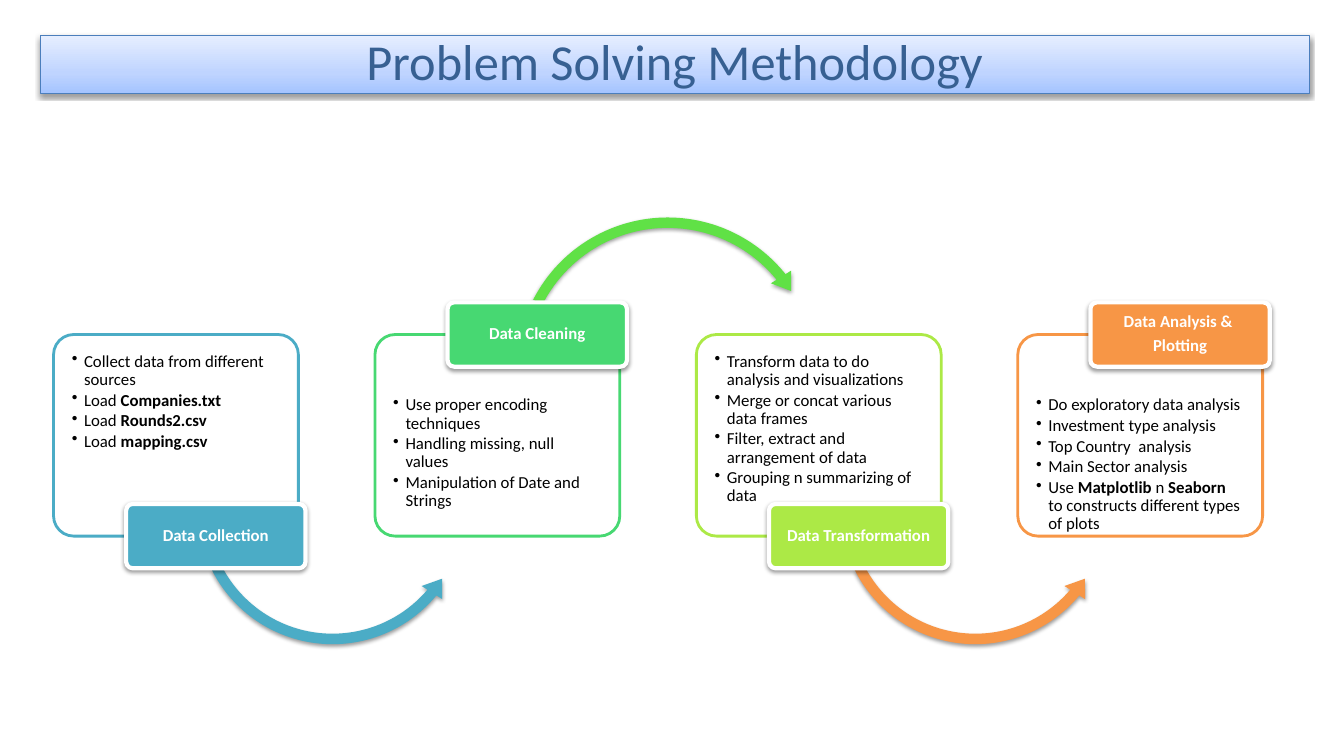
from dataclasses import dataclass

from lxml import etree
from copy import deepcopy
from pptx import Presentation
from pptx.dml.color import RGBColor
from pptx.enum.shapes import MSO_SHAPE
from pptx.enum.text import MSO_ANCHOR, PP_ALIGN
from pptx.oxml.ns import qn
from pptx.util import Cm, Pt

RECT = MSO_SHAPE.RECTANGLE
ROUND = MSO_SHAPE.ROUNDED_RECTANGLE
OVER = MSO_SHAPE.CIRCULAR_ARROW
UNDER = MSO_SHAPE.LEFT_CIRCULAR_ARROW
MID, TOP = MSO_ANCHOR.MIDDLE, MSO_ANCHOR.TOP
LEFT, CENTER = PP_ALIGN.LEFT, PP_ALIGN.CENTER


@dataclass(frozen=True)
class Theme:
    """Hold the colours and type sizes of the slide."""
    font: str = "Calibri"
    ink: str = "000000"
    paper: str = "FFFFFF"
    title: str = "376092"
    edge: str = "4B7EBC"
    fade: tuple = ((0, "A4C4FF"), (0.35, "BFD4FF"), (1, "E6EEFF"))
    teal: str = "4BACC6"
    mint: str = "47D872"
    green: str = "60E146"
    lime: str = "ACE946"
    amber: str = "F79646"
    big: int = 36
    small: int = 12


THEME = Theme()
LOW = dict(text=8.53, tag=12.7, arc=(UNDER, 3.45, 9.25, 7.16),
           bend=(0.037, 4.547, 24, 91.94, 0.043))
HIGH = dict(text=9.63, tag=7.62, arc=(OVER, 3.4, 5.31, 7.95),
            bend=(0.033, 4.062, 192.68, 124.25, 0.038))
STEPS = (
    (LOW, THEME.teal, THEME.teal, ["Data Collection"],
     ["Collect data from different sources", "Load **Companies.txt**",
      "Load **Rounds2.csv**", "Load **mapping.csv**"]),
    (HIGH, THEME.mint, THEME.green, ["Data Cleaning"],
     ["Use proper encoding techniques", "Handling missing, null values",
      "Manipulation of Date and Strings"]),
    (LOW, THEME.lime, THEME.amber, ["Data Transformation"],
     ["Transform data to do analysis and visualizations",
      "Merge or concat various data frames",
      "Filter, extract and arrangement of data",
      "Grouping n summarizing of data"]),
    (HIGH, THEME.amber, None, ["Data Analysis & ", "Plotting"],
     ["Do exploratory data analysis", "Investment type analysis",
      "Top Country  analysis", "Main Sector analysis",
      "Use **Matplotlib** n **Seaborn** to constructs different types of plots"]),
)


def put(item, **form):
    """Set each format value on an item."""
    for name, value in form.items():
        setattr(item, name, value)


def node(root, tag, **form):
    """Add a drawing element with its attributes."""
    item = etree.SubElement(root, qn(tag))
    for name, value in form.items():
        item.set(name, str(value))
    return item


def shade(shape):
    """Give a shape a soft shadow below it."""
    root = shape._element.spPr.find(qn("a:effectLst"))
    drop = node(root, "a:outerShdw", blurRad=Pt(3.1), dist=Pt(1.6),
                dir=5400000, rotWithShape=0)
    node(node(drop, "a:srgbClr", val="000000"), "a:alpha", val=38000)


def block(slide, kind, box, fill=None, line=None, width=1, bend=()):
    """Add a preset shape with fill, line and adjustments."""
    shape = slide.shapes.add_shape(kind, *map(Cm, box))
    shape.shadow.inherit = False
    for spot, value in enumerate(bend):
        shape.adjustments[spot] = value
    if fill:
        shape.fill.solid()
        shape.fill.fore_color.rgb = RGBColor.from_string(fill)
    if line:
        shape.line.color.rgb = RGBColor.from_string(line)
        shape.line.width = Pt(width)
    else:
        shape.line.fill.background()
    return shape


def write(shape, lines, size, color, pad=0.1, gap=0, bold=False,
          anchor=MID, align=CENTER, dot=False):
    """Write lines in a shape, with bold between double stars."""
    frame = shape.text_frame
    put(frame, word_wrap=True, vertical_anchor=anchor, margin_left=Cm(pad),
        margin_right=Cm(pad), margin_top=Cm(pad), margin_bottom=Cm(pad))
    for spot, line in enumerate(lines):
        para = frame.add_paragraph() if spot else frame.paragraphs[0]
        put(para, alignment=align, line_spacing=0.9, space_after=Pt(gap))
        if dot:
            prop = para._p.get_or_add_pPr()
            prop.set("marL", str(Cm(0.31)))
            prop.set("indent", str(-Cm(0.31)))
            node(prop, "a:buChar", char="•")
        for turn, part in enumerate(line.split("**")):
            if part:
                run = para.add_run()
                run.text = part
                put(run.font, name=THEME.font, size=Pt(size),
                    bold=bold or turn % 2 == 1)
                run.font.color.rgb = RGBColor.from_string(color)


def banner(slide, text):
    """Add the title bar with its colour fade."""
    bar = block(slide, RECT, (1.02, 0.89, 31.98, 1.47), None, THEME.edge, 0.75)
    bar.fill.gradient()
    bar.fill.gradient_angle = 90
    root = bar._element.spPr.find(qn("a:gradFill")).find(qn("a:gsLst"))
    root.append(deepcopy(root[0]))
    for stop, (place, color) in zip(bar.fill.gradient_stops, THEME.fade):
        stop.position = place
        stop.color.rgb = RGBColor.from_string(color)
    shade(bar)
    write(bar, [text], THEME.big, THEME.title)


def step(slide, left, side, color, next_color, name, notes):
    """Add a card with its notes, arrow and name tag."""
    card = block(slide, ROUND, (left, 8.43, 6.17, 5.08), THEME.paper,
                 color, 2, (0.1,))
    tint = card._element.spPr.find(qn("a:solidFill"))[0]
    node(tint, "a:alpha", val=90000)
    area = (left + 0.1, side["text"], 5.94, 3.76)
    write(slide.shapes.add_textbox(*map(Cm, area)), notes, THEME.small,
          THEME.ink, 0.36, 1.8, anchor=TOP, align=LEFT, dot=True)
    if next_color:
        kind, shift, top, size = side["arc"]
        shade(block(slide, kind, (left + shift, top, size, size),
                    next_color, bend=side["bend"]))
    tag = block(slide, ROUND, (left + 1.83, side["tag"], 4.52, 1.62),
                color, THEME.paper, 3, (0.1,))
    shade(tag)
    write(tag, name, THEME.small, THEME.paper, gap=4.2, bold=True)


def main():
    """Build and save the slide."""
    deck = Presentation()
    put(deck, slide_width=Cm(33.87), slide_height=Cm(19.05))
    slide = deck.slides.add_slide(deck.slide_layouts[6])
    banner(slide, "Problem Solving Methodology")
    for spot, data in enumerate(STEPS):
        step(slide, 1.35 + 8.1 * spot, *data)
    deck.save("out.pptx")


main()
